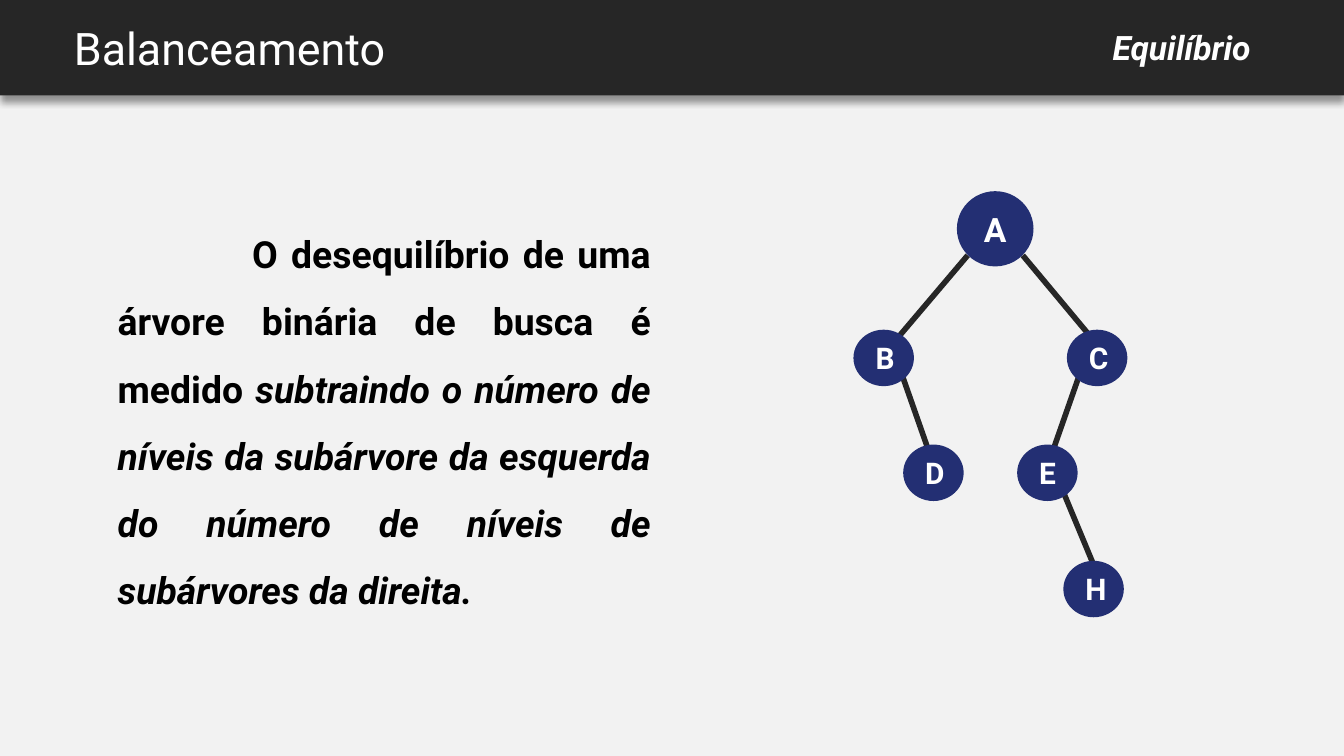
from dataclasses import dataclass

from lxml import etree
from pptx import Presentation
from pptx.dml.color import RGBColor
from pptx.enum.shapes import MSO_CONNECTOR, MSO_SHAPE
from pptx.enum.text import MSO_ANCHOR, MSO_AUTO_SIZE, PP_ALIGN
from pptx.oxml.ns import qn
from pptx.util import Inches, Pt

STRAIGHT = MSO_CONNECTOR.STRAIGHT
OVAL, RECTANGLE = MSO_SHAPE.OVAL, MSO_SHAPE.RECTANGLE
MIDDLE, TOP = MSO_ANCHOR.MIDDLE, MSO_ANCHOR.TOP
NO_AUTOFIT = MSO_AUTO_SIZE.NONE
LEFT, CENTER, RIGHT = PP_ALIGN.LEFT, PP_ALIGN.CENTER, PP_ALIGN.RIGHT
JUSTIFY = PP_ALIGN.JUSTIFY

FONT = "Roboto"
DARK, NAVY, WHITE, BLACK, PAPER = "262626", "232F73", "FFFFFF", "000000", "F2F2F2"
COLUMNS, ROWS = 100, 56.25  # square grid cells, a tenth of an inch each
HEADER_ROWS = 7.1


@dataclass(frozen=True)
class Node:
    letter: str
    column: float  # centre
    row: float
    width: float = 4.5
    height: float = 4.2
    size: int = 16


@dataclass(frozen=True)
class Branch:
    start: tuple[float, float]
    end: tuple[float, float]


NODES = [
    Node("A", 74.05, 17.03, 5.7, 5.6, 18),
    Node("B", 65.75, 26.63),
    Node("C", 81.63, 26.63),
    Node("D", 69.45, 35.18),
    Node("E", 77.93, 35.18),
    Node("H", 81.37, 43.83),
]
BRANCHES = [
    Branch((72, 19), (65.9, 26.2)),
    Branch((76.1, 19), (82.1, 26.2)),
    Branch((66.7, 26.7), (69.5, 34.7)),
    Branch((80.7, 26.8), (77.9, 34.8)),
    Branch((78.7, 35.6), (81.9, 43.3)),
]


def grid(*cells: float) -> list[int]:
    return [Inches(cell / 10) for cell in cells]


def color(hex_value: str) -> RGBColor:
    return RGBColor.from_string(hex_value)


def place(shape, left: float, top: float, width: float, height: float) -> None:
    shape.left, shape.top, shape.width, shape.height = grid(left, top, width, height)


def add_run(paragraph, text: str, size: int, hex_value: str,
            bold: bool = False, italic: bool = False) -> None:
    run = paragraph.add_run()
    run.text = text
    font = run.font
    font.name, font.size, font.bold, font.italic = FONT, Pt(size), bold, italic
    font.color.rgb = color(hex_value)


def set_frame(shape, anchor, alignment):
    """Format the text frame and return its first paragraph."""
    frame = shape.text_frame
    frame.word_wrap, frame.auto_size = True, NO_AUTOFIT
    frame.vertical_anchor = anchor
    paragraph = frame.paragraphs[0]
    paragraph.alignment = alignment
    return paragraph


def add_solid(slide, kind, cells: tuple, fill: str):
    shape = slide.shapes.add_shape(kind, *grid(*cells))
    shape.shadow.inherit = False
    shape.fill.solid()
    shape.fill.fore_color.rgb = color(fill)
    shape.line.fill.background()
    return shape


def add_branch(slide, branch: Branch) -> None:
    line = slide.shapes.add_connector(STRAIGHT, *grid(*branch.start, *branch.end))
    line.line.color.rgb = color(DARK)
    line.line.width = Pt(3)
    etree.SubElement(line._element.spPr, qn("a:effectLst"))


def add_node(slide, node: Node) -> None:
    cells = (node.column - node.width / 2, node.row - node.height / 2,
             node.width, node.height)
    circle = add_solid(slide, OVAL, cells, NAVY)
    paragraph = set_frame(circle, MIDDLE, CENTER)
    add_run(paragraph, node.letter, node.size, WHITE, bold=True)


def add_header(slide) -> None:
    bar = add_solid(slide, RECTANGLE, (0, 0, COLUMNS, HEADER_ROWS), DARK)
    effects = bar._element.spPr.find(qn("a:effectLst"))
    shadow = etree.SubElement(effects, qn("a:outerShdw"), blurRad=str(Pt(4)),
                              dist=str(Pt(3)), dir="5400000", algn="t", rotWithShape="0")
    shade = etree.SubElement(shadow, qn("a:srgbClr"), val=BLACK)
    etree.SubElement(shade, qn("a:alpha"), val="40000")

    title = slide.shapes.title
    bar._element.addnext(title._element)  # the title lies above the bar
    place(title, 4.5, 0, 90.5, HEADER_ROWS)
    frame = title.text_frame
    frame.margin_top = frame.margin_bottom = Inches(0.1)
    add_run(set_frame(title, MIDDLE, LEFT), "Balanceamento", 24, WHITE)

    topic = slide.shapes.add_textbox(*grid(67.95, 1.5, 26.1, 4))
    add_run(set_frame(topic, TOP, RIGHT), "Equilíbrio", 18, WHITE, bold=True, italic=True)


def fill_definition(body) -> None:
    place(body, 7.75, 15.05, 41.7, 31)
    paragraph = set_frame(body, TOP, JUSTIFY)
    paragraph.line_spacing = 1.5
    paragraph.space_before = Pt(0)
    properties = paragraph._p.get_or_add_pPr()
    properties.set("marL", "0")
    properties.set("indent", str(Inches(1)))
    etree.SubElement(properties, qn("a:buNone"))
    add_run(paragraph, "O desequilíbrio de uma árvore binária de busca é medido ",
            20, BLACK, bold=True)
    add_run(paragraph, "subtraindo o número de níveis da subárvore da esquerda "
            "do número de níveis de subárvores da direita.",
            20, BLACK, bold=True, italic=True)


def main() -> None:
    deck = Presentation()
    deck.slide_width, deck.slide_height = grid(COLUMNS, ROWS)
    slide = deck.slides.add_slide(deck.slide_layouts[1])
    slide.background.fill.solid()
    slide.background.fill.fore_color.rgb = color(PAPER)

    fill_definition(slide.placeholders[1])
    for branch in BRANCHES:
        add_branch(slide, branch)
    for node in NODES:
        add_node(slide, node)
    add_header(slide)
    deck.save("out.pptx")


if __name__ == "__main__":
    main()
